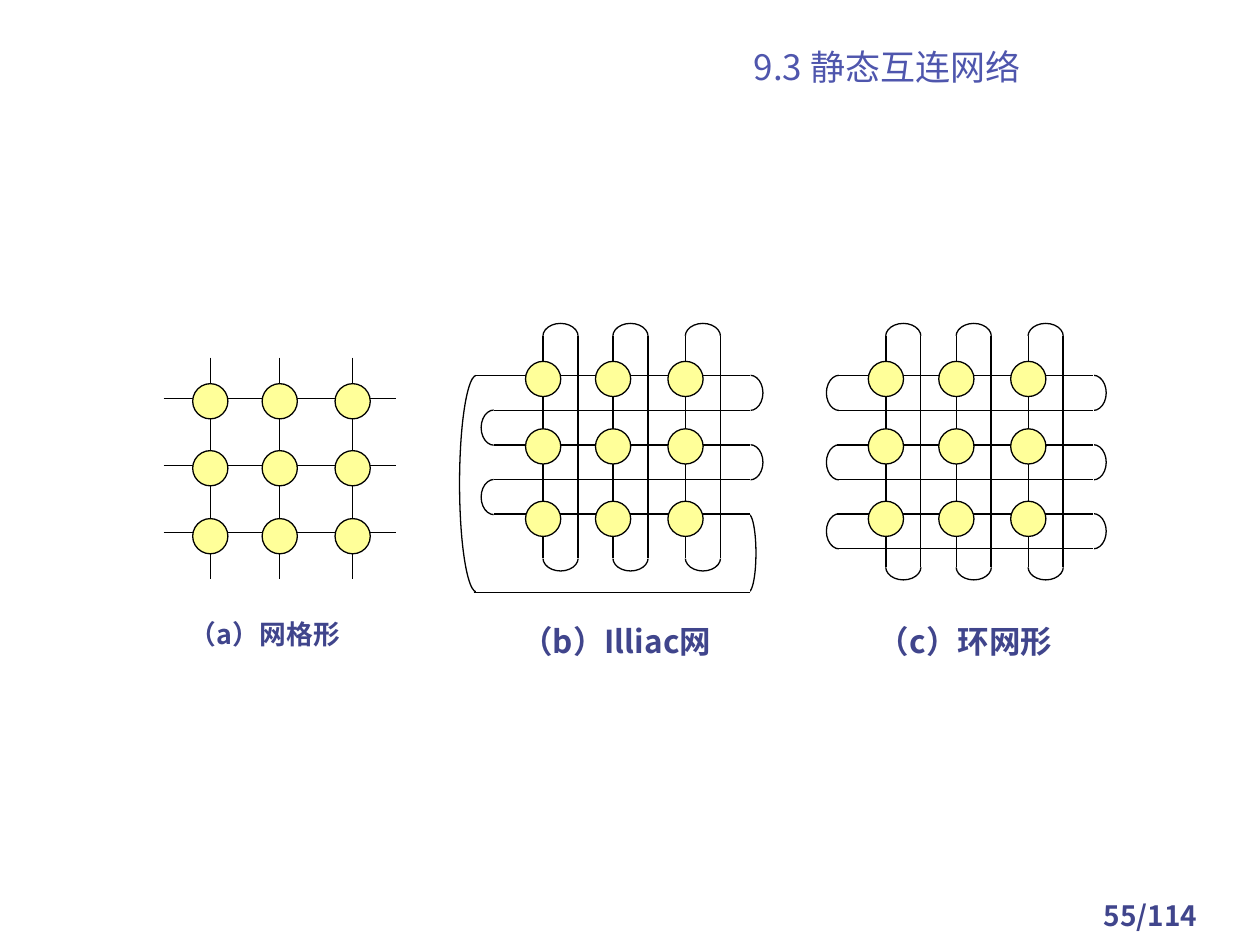
from math import cos, radians, sin

from pptx import Presentation
from pptx.dml.color import RGBColor
from pptx.enum.shapes import MSO_CONNECTOR, MSO_SHAPE
from pptx.enum.text import MSO_ANCHOR, PP_ALIGN
from pptx.oxml.ns import qn
from pptx.util import Cm, Pt

OVAL, RECTANGLE = MSO_SHAPE.OVAL, MSO_SHAPE.RECTANGLE
STRAIGHT = MSO_CONNECTOR.STRAIGHT
CENTER, JUSTIFY = PP_ALIGN.CENTER, PP_ALIGN.JUSTIFY
TOP, BOTTOM = MSO_ANCHOR.TOP, MSO_ANCHOR.BOTTOM

BLACK = RGBColor(0x00, 0x00, 0x00)
WHITE = RGBColor(0xFF, 0xFF, 0xFF)
YELLOW = RGBColor(0xFF, 0xFF, 0x99)
INDIGO = RGBColor(0x40, 0x45, 0x8C)
VIOLET = RGBColor(0x4F, 0x56, 0xAD)
FONT = "Noto Sans CJK SC"
LINE_WIDTH = Pt(0.75)

NODE = 0.71  # diameter of a node, cm
RETURN = 0.7  # distance from a wire to its return wire, cm

prs = Presentation()
prs.slide_width, prs.slide_height = Cm(25.4), Cm(19.05)
slide = prs.slides.add_slide(prs.slide_layouts[6])
shapes = slide.shapes


def add_centred(kind, x, y, width, height, fill, outlined=True, rotation=0):
    """Add a shape around the centre (x, y), all lengths in cm."""
    shape = shapes.add_shape(kind, Cm(x - width / 2), Cm(y - height / 2),
                             Cm(width), Cm(height))
    shape.shadow.inherit = False
    shape.rotation = rotation
    shape.fill.solid()
    shape.fill.fore_color.rgb = fill
    if outlined:
        shape.line.color.rgb = BLACK
        shape.line.width = LINE_WIDTH
    else:
        shape.line.fill.background()


def add_wire(x1, y1, x2, y2):
    wire = shapes.add_connector(STRAIGHT, Cm(x1), Cm(y1), Cm(x2), Cm(y2))
    wire.line.color.rgb = BLACK
    wire.line.width = LINE_WIDTH
    wire._element.spPr.get_or_add_effectLst()if hasattr(
        wire._element.spPr, "get_or_add_effectLst") else \
        wire._element.spPr.append(
            wire._element.spPr.makeelement(qn("a:effectLst"), {}))


mesh_columns = [4.24, 5.64, 7.11]
mesh_rows = [8.03, 9.38, 10.73]
illiac_columns = [10.95, 12.36, 13.82]
torus_columns = [17.86, 19.28, 20.73]
loop_rows = [7.57, 8.97, 10.36]
wire_top, illiac_bottom, torus_bottom = 6.78, 11.25, 11.43
illiac_left, illiac_right, illiac_base = 9.96, 15.12, 11.94
torus_left, torus_right = 16.87, 22.04

# Outer loop of the Illiac net: half ovals, the inner half covered in white
add_centred(OVAL, 9.61, 9.75, 0.69, 4.37, WHITE)
add_centred(RECTANGLE, 9.92, 9.67, 0.64, 4.55, WHITE, outlined=False)
add_centred(OVAL, 15.09, 11.15, 0.3, 1.57, WHITE)
add_centred(RECTANGLE, 14.94, 11.11, 0.36, 1.65, WHITE, outlined=False)

# Turns as (rotation, x, y): 0 opens downwards, then clockwise
turns = []
for columns, bottom in ((illiac_columns, illiac_bottom),
                        (torus_columns, torus_bottom)):
    for x in columns:
        turns += [(0, x + RETURN / 2, wire_top),
                  (180, x + RETURN / 2, bottom)]
for y in loop_rows:
    turns += [(270, torus_left + 0.05, y + RETURN / 2),
              (90, torus_right, y + RETURN / 2)]
for y in loop_rows[:2]:
    turns += [(90, illiac_right, y + RETURN / 2),
              (270, illiac_left, y + RETURN * 1.5)]

for rotation, x, y in turns:
    angle = radians(rotation)
    add_centred(OVAL, x, y, 0.71, 0.52, WHITE, rotation=rotation)
    add_centred(RECTANGLE, x - 0.17 * sin(angle), y + 0.17 * cos(angle),
                0.82, 0.36, WHITE, outlined=False, rotation=rotation)

# Wires
for x in mesh_columns:
    add_wire(x, 7.21, x, 11.68)
for y in mesh_rows:
    add_wire(3.3, y, 7.98, y)
for columns, bottom in ((illiac_columns, illiac_bottom),
                        (torus_columns, torus_bottom)):
    for x in columns:
        add_wire(x, wire_top, x, bottom)
        add_wire(x + RETURN, wire_top, x + RETURN, bottom)
for i, y in enumerate(loop_rows):
    add_wire(illiac_left if i else 9.6, y, illiac_right, y)
    add_wire(torus_left, y, torus_right, y)
    add_wire(torus_left, y + RETURN, torus_right, y + RETURN)
    if i < 2:
        add_wire(illiac_left, y + RETURN, illiac_right, y + RETURN)
add_wire(9.55, illiac_base, illiac_right, illiac_base)

# Nodes
for columns, node_rows in ((mesh_columns, [8.09, 9.44, 10.81]),
                           (illiac_columns, [7.64, 9.0, 10.46]),
                           (torus_columns, [7.64, 9.0, 10.46])):
    for y in node_rows:
        for x in columns:
            add_centred(OVAL, x, y, NODE, NODE, YELLOW)

# Text: words, left, top, width, height, size, colour, bold, align, anchor,
# side inset, top inset, line spacing
texts = [
    ("9.3 静态互连网络", 10.8, 0.69, 14.17, 1.07, 20, VIOLET, False,
     CENTER, BOTTOM, 0, 0, 1.0),
    ("（a）网格形", 3.58, 12.4, 5.11, 0.94, 15.3, INDIGO, True,
     JUSTIFY, TOP, 0.25, 0.13, 0.9),
    ("（b）Illiac网", 10.26, 12.4, 5.44, 1.14, 18, INDIGO, True,
     JUSTIFY, TOP, 0.25, 0.13, 1.0),
    ("（c）环网形", 17.45, 12.4, 4.39, 1.14, 18, INDIGO, True,
     JUSTIFY, TOP, 0.25, 0.13, 1.0),
    ("55/114", 21.39, 17.98, 3.61, 0.84, 16, INDIGO, True,
     CENTER, TOP, 0.25, 0.13, 1.0),
]
for (words, left, top, width, height, size, colour, bold, align, anchor,
     side_inset, top_inset, spacing) in texts:
    frame = shapes.add_textbox(Cm(left), Cm(top), Cm(width),
                               Cm(height)).text_frame
    frame.word_wrap = True
    frame.vertical_anchor = anchor
    frame.margin_left = frame.margin_right = Cm(side_inset)
    frame.margin_top = frame.margin_bottom = Cm(top_inset)
    paragraph = frame.paragraphs[0]
    paragraph.alignment = align
    paragraph.line_spacing = spacing
    run = paragraph.add_run()
    run.text = words
    run.font.size = Pt(size)
    run.font.bold = bold
    run.font.color.rgb = colour
    run.font.name = FONT
    properties = run._r.get_or_add_rPr()
    properties.append(properties.makeelement(qn("a:ea"), {"typeface": FONT}))

prs.save("out.pptx")
